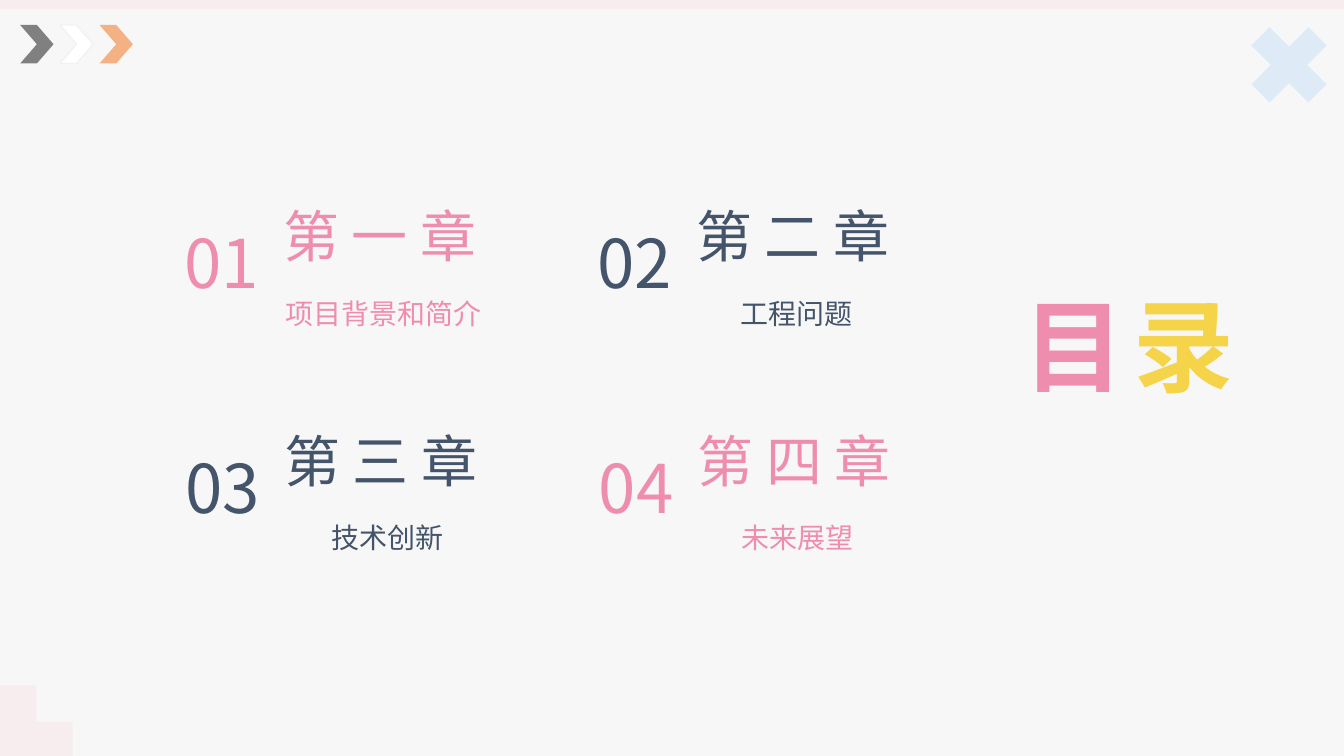
from dataclasses import dataclass

from lxml import etree
from pptx import Presentation
from pptx import util as u
from pptx.dml import color
from pptx.enum import shapes, text
from pptx.oxml import ns


@dataclass(frozen=True)
class Theme:
    font: str = "Noto Sans CJK SC"
    page: str = "F7F7F7"
    pink: str = "EF8DAE"
    slate: str = "44546A"
    yellow: str = "F5D449"
    blush: str = "F7EDEE"
    sky: str = "DEEBF7"
    gray: str = "808080"
    white: str = "FFFFFF"
    outline: str = "F2F2F2"
    orange: str = "F4B183"
    heading_size: int = 72
    number_size: int = 48
    chapter_size: int = 40
    topic_size: int = 20


theme = Theme()
presentation = Presentation()
presentation.slide_width, presentation.slide_height = u.Cm(33.87), u.Cm(19.05)
slide = presentation.slides.add_slide(presentation.slide_layouts[6])


def add_text(words, left, top, width, height, *, size, ink, bold=False, wrap=True,
             anchor=text.MSO_ANCHOR.TOP, align=text.PP_ALIGN.LEFT,
             spacing=1.0, insets=(0.25, 0.13, 0.25, 0.13)):
    """Lengths are centimetres; insets run left, top, right, bottom."""
    box = slide.shapes.add_textbox(u.Cm(left), u.Cm(top), u.Cm(width), u.Cm(height))
    frame = box.text_frame
    frame.word_wrap = wrap
    frame.vertical_anchor = anchor
    (frame.margin_left, frame.margin_top,
     frame.margin_right, frame.margin_bottom) = map(u.Cm, insets)
    paragraph = frame.paragraphs[0]
    paragraph.alignment = align
    paragraph.line_spacing = spacing
    run = paragraph.add_run()
    run.text = words
    run.font.name = theme.font
    run.font.size = u.Pt(size)
    run.font.bold = bold
    run.font.color.rgb = color.RGBColor.from_string(ink)
    east_asian = etree.SubElement(run.font._element, ns.qn("a:ea"))
    east_asian.set("typeface", theme.font)


def add_ornament(preset, left, top, width, height, fill, outline=None):
    ornament = slide.shapes.add_shape(preset, u.Cm(left), u.Cm(top), u.Cm(width), u.Cm(height))
    ornament.shadow.inherit = False
    ornament.fill.solid()
    ornament.fill.fore_color.rgb = color.RGBColor.from_string(fill)
    if outline:
        ornament.line.color.rgb = color.RGBColor.from_string(outline)
        ornament.line.width = u.Pt(1)
    else:
        ornament.line.fill.background()


# Page panel, then chevrons at the top left
add_ornament(shapes.MSO_SHAPE.RECTANGLE, 0, 0, 33.87, 19.05, theme.page, theme.page)
chevrons = [(theme.gray, None), (theme.white, theme.outline), (theme.orange, None)]
for position, (fill, outline) in enumerate(chevrons):
    add_ornament(shapes.MSO_SHAPE.CHEVRON, 0.51 + position, 0.63, 0.84, 0.97, fill, outline)

# Chapters in a two by two grid; the last value shifts the topic sideways
chapters = [
    ("01", "第 一 章", "项目背景和简介", theme.pink, 0),
    ("02", "第 二 章", "工程问题", theme.slate, 0),
    ("03", "第 三 章", "技术创新", theme.slate, 0.07),
    ("04", "第 四 章", "未来展望", theme.pink, 0),
]
indent = (1.32, 0, 0, 0)
for index, (number, chapter, topic, ink, shift) in enumerate(chapters):
    row, column = divmod(index, 2)
    left, top = 4.4 + 10.41 * column + 0.03 * row, 4.82 + 5.66 * row
    add_text(number, left, top + 0.99, 2.2, 1.96, size=theme.number_size, ink=ink,
             wrap=False, anchor=text.MSO_ANCHOR.MIDDLE, spacing=0.8,
             insets=(0.25, 0.13, 0, 0.13))
    add_text(chapter, left + 1.42, top, 6.99, 1.96, size=theme.chapter_size, ink=ink,
             wrap=False, anchor=text.MSO_ANCHOR.BOTTOM, insets=indent)
    add_text(topic, left + 0.6 + shift, top + 2.26, 8, 1.45, size=theme.topic_size, ink=ink,
             anchor=text.MSO_ANCHOR.MIDDLE, align=text.PP_ALIGN.CENTER,
             spacing=1.2, insets=indent)

# Heading, one character per box
for character, left, width, ink in [("目", 25.55, 6.35, theme.pink),
                                    ("录", 28.32, 3.07, theme.yellow)]:
    add_text(character, left, 7.02, width, 3.33, size=theme.heading_size, ink=ink, bold=True)

# Corner step, top band and cross
add_ornament(shapes.MSO_SHAPE.CORNER, 0, 17.27, 1.83, 1.83, theme.blush)
add_ornament(shapes.MSO_SHAPE.RECTANGLE, 0, 0, 33.87, 0.23, theme.blush)
add_ornament(shapes.MSO_SHAPE.MATH_MULTIPLY, 31.1, 0.25, 2.77, 2.77, theme.sky)

presentation.save("out.pptx")
